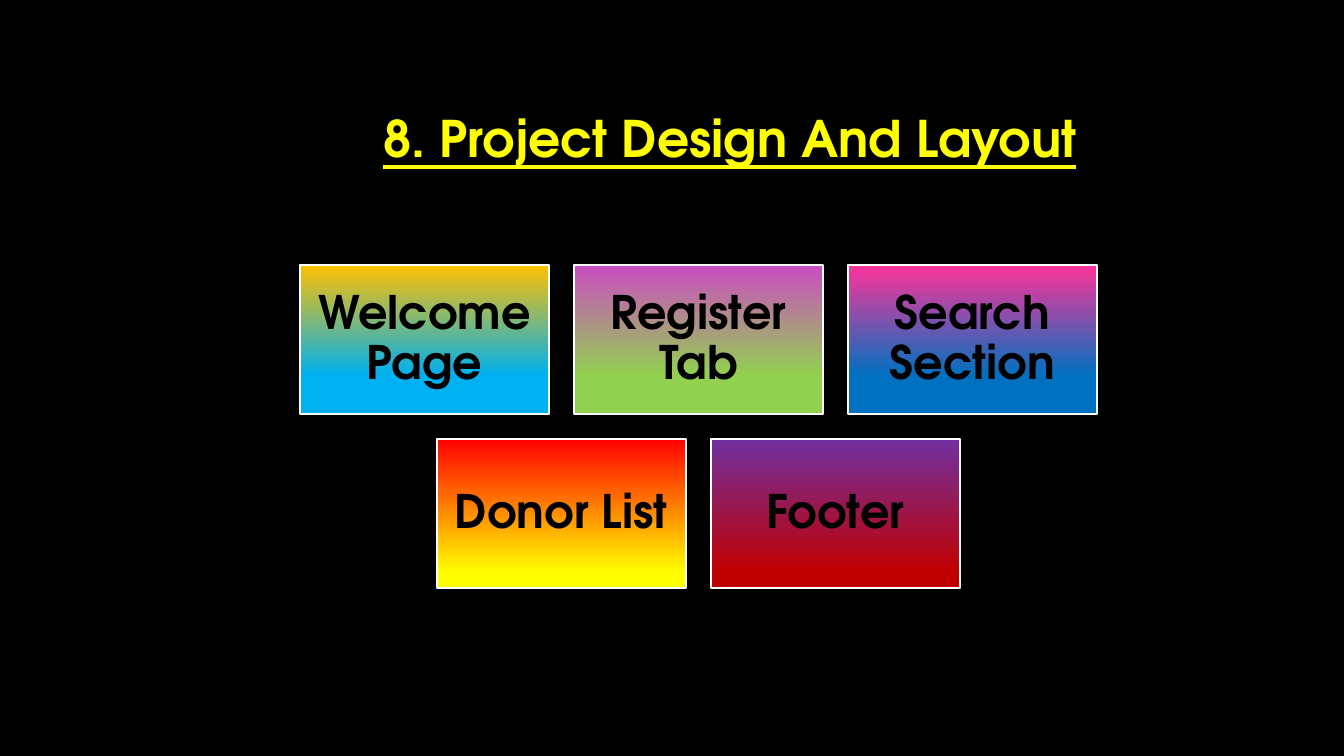
import pptx
import pptx.dml.color
import pptx.enum.shapes
import pptx.enum.text
import pptx.util

RGBColor = pptx.dml.color.RGBColor
Alignment = pptx.enum.text.PP_ALIGN
Anchor = pptx.enum.text.MSO_ANCHOR

EMU_PER_PX = 914400 / 100.8
FONT = "TeX Gyre Adventor"

BLACK = RGBColor(0x00, 0x00, 0x00)
WHITE = RGBColor(0xFF, 0xFF, 0xFF)
YELLOW = RGBColor(0xFF, 0xFF, 0x00)
AMBER = RGBColor(0xFF, 0xC0, 0x00)
SKY = RGBColor(0x00, 0xB0, 0xF0)
ORCHID = RGBColor(0xCB, 0x4D, 0xC2)
GREEN = RGBColor(0x92, 0xD0, 0x50)
PINK = RGBColor(0xFF, 0x33, 0x99)
BLUE = RGBColor(0x00, 0x70, 0xC0)
RED = RGBColor(0xFF, 0x00, 0x00)
PURPLE = RGBColor(0x70, 0x30, 0xA0)
CRIMSON = RGBColor(0xC0, 0x00, 0x00)

TILE_ROWS = [
    [
        ("Welcome Page", AMBER, SKY, 0.74),
        ("Register Tab", ORCHID, GREEN, 0.74),
        ("Search Section", PINK, BLUE, 0.74),
    ],
    [
        ("Donor List", RED, YELLOW, 0.9),
        ("Footer", PURPLE, CRIMSON, 0.9),
    ],
]


def px(length):
    """Turn a length in px into EMU."""
    return pptx.util.Emu(round(length * EMU_PER_PX))


def write_text(shape, text, *, size, color, align, anchor, underline=False,
               spacing=1.0, wrap=True, inset=None):
    """Write one formatted paragraph into a shape."""
    frame = shape.text_frame
    frame.auto_size = pptx.enum.text.MSO_AUTO_SIZE.NONE
    frame.word_wrap = wrap
    frame.vertical_anchor = anchor
    if inset is not None:
        frame.margin_left = frame.margin_right = px(inset)
        frame.margin_top = frame.margin_bottom = px(inset)
    paragraph = frame.paragraphs[0]
    paragraph.alignment = align
    paragraph.line_spacing = spacing
    run = paragraph.add_run()
    run.text = text
    run.font.name = FONT
    run.font.size = pptx.util.Pt(size)
    run.font.bold = True
    run.font.underline = underline
    run.font.color.rgb = color


def place_title(slide, left, top, width, height):
    """Move the title placeholder into its box and fill it."""
    title = slide.shapes.title
    title.left, title.top = px(left), px(top)
    title.width, title.height = px(width), px(height)
    write_text(title, "8. Project Design And Layout", size=36, color=YELLOW,
               align=Alignment.LEFT, anchor=Anchor.TOP, underline=True, wrap=False)


def add_tile(slide, left, top, width, height, label, top_color, bottom_color, stop):
    """Add one labelled tile with a downward gradient."""
    tile = slide.shapes.add_shape(pptx.enum.shapes.MSO_SHAPE.RECTANGLE,
                                  px(left), px(top), px(width), px(height))
    tile.shadow.inherit = False
    tile.fill.gradient()
    tile.fill.gradient_angle = 270
    first, last = tile.fill.gradient_stops
    first.position, first.color.rgb = 0, top_color
    last.position, last.color.rgb = stop, bottom_color
    tile.line.color.rgb = WHITE
    tile.line.width = pptx.util.Pt(1)
    write_text(tile, label, size=33, color=BLACK, align=Alignment.CENTER,
               anchor=Anchor.MIDDLE, spacing=0.9, inset=14)


def add_tile_rows(slide, left, top, width, height, gap):
    """Fill a box with evenly spaced rows of tiles, each row centred."""
    columns = max(len(row) for row in TILE_ROWS)
    tile_width = (width - gap * (columns - 1)) / columns
    tile_height = (height - gap * (len(TILE_ROWS) - 1)) / len(TILE_ROWS)
    for row_index, row in enumerate(TILE_ROWS):
        row_left = left + (columns - len(row)) * (tile_width + gap) / 2
        row_top = top + row_index * (tile_height + gap)
        for column, tile in enumerate(row):
            add_tile(slide, row_left + column * (tile_width + gap), row_top,
                     tile_width, tile_height, *tile)


def main():
    """Build the slide and save it."""
    presentation = pptx.Presentation()
    presentation.slide_width, presentation.slide_height = px(1344), px(756)
    slide = presentation.slides.add_slide(presentation.slide_layouts[5])
    slide.background.fill.solid()
    slide.background.fill.fore_color.rgb = BLACK
    place_title(slide, 373, 102, 724, 72)
    add_tile_rows(slide, 300, 265, 797, 323, gap=25)
    presentation.save("out.pptx")


if __name__ == "__main__":
    main()
